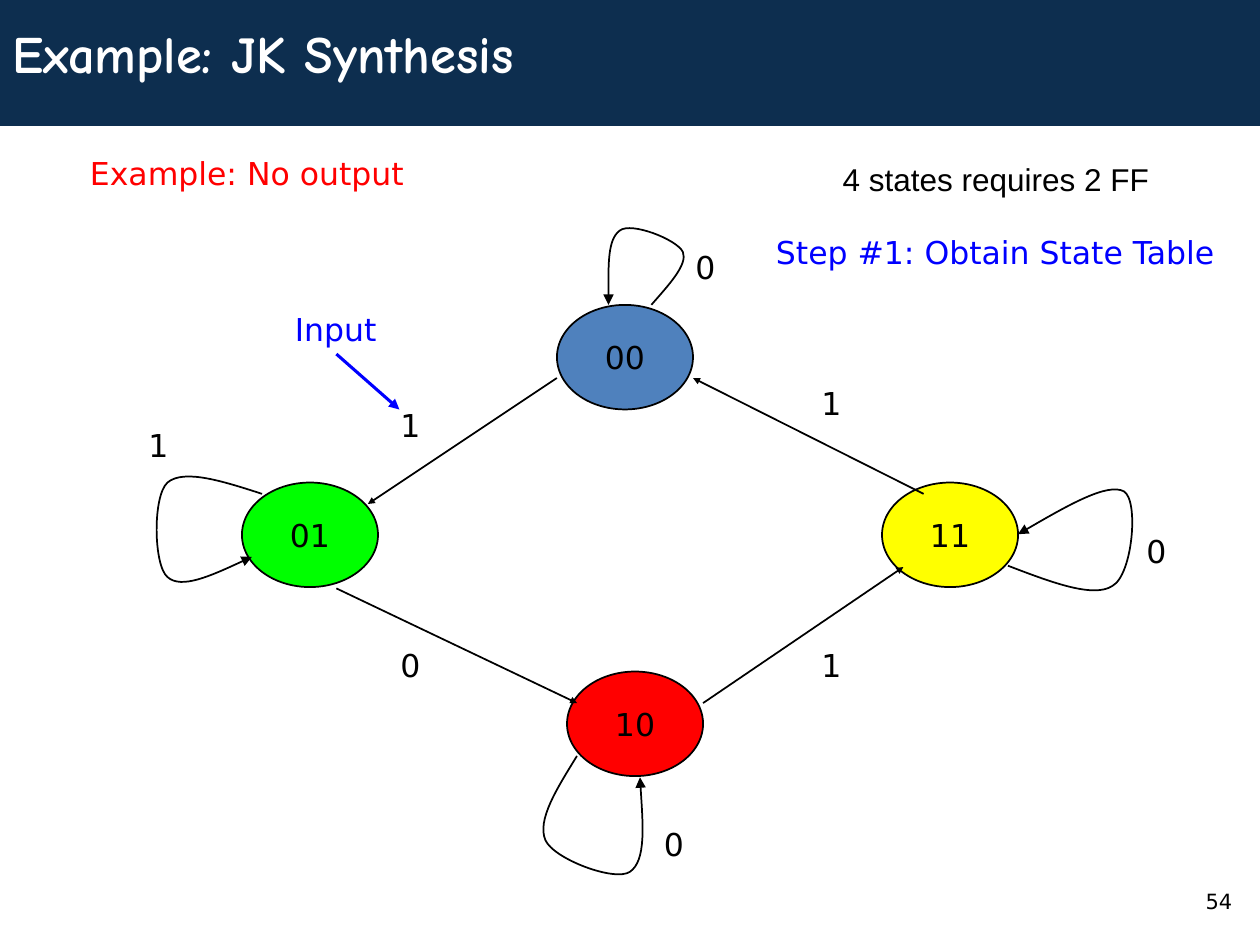
"""Build the JK synthesis slide: a four-state diagram with labelled transitions."""
from lxml import etree
from pptx import Presentation
from pptx.dml.color import RGBColor
from pptx.enum import shapes, text
from pptx.oxml.ns import qn
from pptx.util import Inches, Pt

COLORS = {
    "navy": "0D2E4F", "white": "FFFFFF", "black": "000000", "steel": "4F81BD",
    "yellow": "FFFF00", "red": "FF0000", "green": "00FF00", "blue": "0000FF",
}


def write(shape, wording, color="black", size=18, font="DejaVu Sans", bold=False,
          align=text.PP_ALIGN.LEFT, anchor=text.MSO_ANCHOR.TOP, wrap=True):
    frame = shape.text_frame
    frame.word_wrap = wrap
    frame.vertical_anchor = anchor
    paragraph = frame.paragraphs[0]
    paragraph.alignment = align
    run = paragraph.add_run()
    run.text = wording
    run.font.size = Pt(size)
    run.font.name = font
    run.font.bold = bold
    run.font.color.rgb = RGBColor.from_string(COLORS[color])


def style_arrow(arrow, color="black", width=1, head="med"):
    arrow.line.color.rgb = RGBColor.from_string(COLORS[color])
    arrow.line.width = Pt(width)
    line = arrow.line._get_or_add_ln()
    etree.SubElement(line, qn("a:tailEnd"), type="triangle", w=head, len=head)
    properties = arrow._element.spPr
    if properties.find(qn("a:effectLst")) is None:
        etree.SubElement(properties, qn("a:effectLst"))


deck = Presentation()
deck.slide_width, deck.slide_height = Inches(10), Inches(7.5)
slide = deck.slides.add_slide(deck.slide_layouts[6])
canvas = slide.shapes

banner = canvas.add_shape(shapes.MSO_SHAPE.RECTANGLE, 0, 0, Inches(10), Inches(1))
banner.shadow.inherit = False
banner.fill.solid()
banner.fill.fore_color.rgb = RGBColor.from_string(COLORS["navy"])
banner.line.fill.background()

title = canvas.add_textbox(0, 0, Inches(9.97), Inches(0.83))
write(title, "Example: JK Synthesis", "white", 30, "Comic Neue", bold=True,
      anchor=text.MSO_ANCHOR.MIDDLE)
page_number = canvas.add_textbox(Inches(9.47), Inches(7), Inches(0.5), Inches(0.5))
write(page_number, "54", size=12)

states = [
    ("00", 4.42, 2.42, "steel"),
    ("11", 7, 3.83, "yellow"),
    ("10", 4.5, 5.33, "red"),
    ("01", 1.92, 3.83, "green"),
]
for code, left, top, color in states:
    state = canvas.add_shape(shapes.MSO_SHAPE.OVAL, Inches(left), Inches(top),
                             Inches(1.08), Inches(0.83))
    state.shadow.inherit = False
    state.fill.solid()
    state.fill.fore_color.rgb = RGBColor.from_string(COLORS[color])
    state.line.color.rgb = RGBColor.from_string(COLORS["black"])
    state.line.width = Pt(1)
    write(state, code, align=text.PP_ALIGN.CENTER,
          anchor=text.MSO_ANCHOR.MIDDLE, wrap=False)

transitions = [
    (4.42, 3, 2.92, 4, "black", 1, "sm"),
    (2.67, 4.67, 4.58, 5.58, "black", 1, "sm"),
    (5.58, 5.58, 7.17, 4.5, "black", 1, "sm"),
    (7.33, 3.92, 5.5, 3, "black", 1, "sm"),
    (2.67, 2.81, 3.17, 3.25, "blue", 1.75, "med"),
]
for *ends, color, width, head in transitions:
    transition = canvas.add_connector(shapes.MSO_CONNECTOR.STRAIGHT,
                                      *[Inches(end) for end in ends])
    style_arrow(transition, color, width, head)

self_loops = [
    [(2.08, 3.92), (1.77, 3.82), (1.46, 3.72), (1.33, 3.83), (1.21, 3.94),
     (1.22, 4.49), (1.33, 4.58), (1.44, 4.68), (1.72, 4.55), (2, 4.42)],
    [(4.58, 6), (4.42, 6.26), (4.26, 6.51), (4.33, 6.67), (4.4, 6.82),
     (4.88, 7), (5, 6.92), (5.13, 6.83), (5.1, 6.5), (5.08, 6.17)],
    [(5.17, 2.42), (5.31, 2.26), (5.46, 2.1), (5.42, 2), (5.37, 1.9),
     (5.01, 1.76), (4.92, 1.83), (4.82, 1.9), (4.83, 2.16), (4.83, 2.42)],
    [(8, 4.49), (8.34, 4.62), (8.68, 4.75), (8.83, 4.65), (8.99, 4.56),
     (9.04, 3.97), (8.92, 3.9), (8.79, 3.83), (8.44, 4.03), (8.08, 4.24)],
]
for controls in self_loops:
    start, *rest = [(Inches(x), Inches(y)) for x, y in controls]
    builder = canvas.build_freeform(*start)
    builder.add_line_segments(rest, close=False)
    self_loop = builder.convert_to_shape()
    self_loop.shadow.inherit = False
    self_loop.fill.background()
    segments = list(self_loop._element.iter(qn("a:lnTo")))
    for first in range(0, len(segments), 3):
        curve = etree.Element(qn("a:cubicBezTo"))
        segments[first].addprevious(curve)
        for segment in segments[first:first + 3]:
            curve.append(segment[0])
            segment.getparent().remove(segment)
    style_arrow(self_loop)

input_values = [
    ("0", 5.42, 1.92), ("0", 9, 4.17), ("0", 5.17, 6.5), ("1", 1.08, 3.33),
    ("1", 3.08, 3.17), ("1", 6.42, 3), ("1", 6.42, 5.08), ("0", 3.08, 5.08),
]
for value, left, top in input_values:
    input_value = canvas.add_textbox(Inches(left), Inches(top), Inches(0.42), Inches(0.4))
    write(input_value, value)

notes = [
    ("Example: No output", 0.42, 1.17, 3.08, "red", "DejaVu Sans", text.PP_ALIGN.CENTER, True),
    ("Step #1: Obtain State Table", 6.06, 1.8, 3.79, "blue", "DejaVu Sans",
     text.PP_ALIGN.LEFT, True),
    ("Input", 2.05, 2.41, 1.23, "blue", "DejaVu Sans", text.PP_ALIGN.CENTER, True),
    ("4 states requires 2 FF", 6.59, 1.22, 2.63, "black", "Arial", text.PP_ALIGN.LEFT, False),
]
for wording, left, top, width, color, font, align, wrap in notes:
    note = canvas.add_textbox(Inches(left), Inches(top), Inches(width), Inches(0.4))
    write(note, wording, color, font=font, align=align, wrap=wrap)

deck.save("out.pptx")
